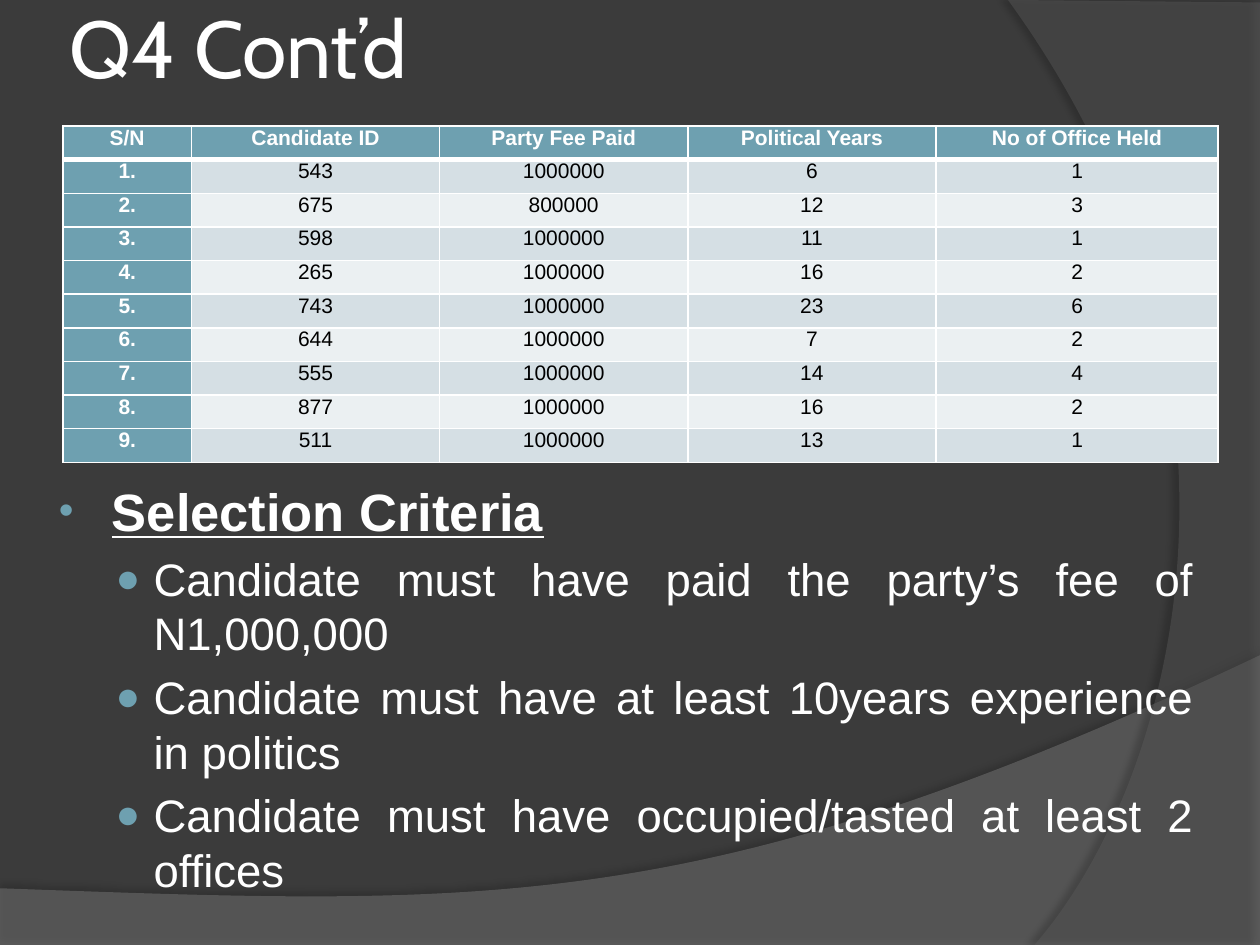
import pptx
import pptx.util
import pptx.dml.color
import pptx.enum.text
import pptx.oxml
import pptx.oxml.ns

Inches = pptx.util.Inches
Pt = pptx.util.Pt
Align = pptx.enum.text.PP_ALIGN
Anchor = pptx.enum.text.MSO_ANCHOR
NS = pptx.oxml.ns.nsdecls("a")
HUES = {"back": "3B3B3B", "wave": "7F7F7F", "arc": "5E5E5E", "teal": "6EA0B0",
        "odd": "D5DFE4", "even": "EBF0F2", "white": "FFFFFF", "black": "000000"}


def hue(name):
    return pptx.dml.color.RGBColor.from_string(HUES[name])


class Deck:
    """Holds the style and the current slide."""

    def __init__(self):
        self.show = pptx.Presentation()
        self.show.slide_width, self.show.slide_height = Inches(10), Inches(7.5)
        self.slide = self.show.slides.add_slide(self.show.slide_layouts[6])
        fill = self.slide.background.fill
        fill.solid()
        fill.fore_color.rgb = hue("back")

    def sweep(self, dots, bend, color, alpha, shade, dist, angle):
        grid = [(round(x * 1000), round(y * 1000)) for x, y in dots]
        pen = self.slide.shapes.build_freeform(*grid[0], scale=Inches(1) / 1000)
        pen.add_line_segments(grid[1:])
        shape = pen.convert_to_shape()
        shape.shadow.inherit = False
        shape.line.fill.background()
        shape.fill.solid()
        shape.fill.fore_color.rgb = hue(color)
        props = shape._element.spPr
        left, top = (min(axis) for axis in zip(*grid))
        knots = "".join(f'<a:pt x="{round(x * 1000) - left}" y="{round(y * 1000) - top}"/>'
                        for x, y in (*bend, dots[-1]))
        line = props.findall(".//" + pptx.oxml.ns.qn("a:lnTo"))[len(dots) - 2]
        line.getparent().replace(line, pptx.oxml.parse_xml(
            f'<a:cubicBezTo {NS}>{knots}</a:cubicBezTo>'))
        tint = props.find(".//" + pptx.oxml.ns.qn("a:srgbClr"))
        tint.append(pptx.oxml.parse_xml(f'<a:alpha {NS} val="{alpha * 1000}"/>'))
        props.find(pptx.oxml.ns.qn("a:effectLst")).append(pptx.oxml.parse_xml(
            f'<a:outerShdw {NS} blurRad="{Pt(4)}" dist="{Pt(dist)}" dir="{angle * 60000}" '
            f'algn="ctr" rotWithShape="0"><a:srgbClr val="{HUES["black"]}">'
            f'<a:alpha val="{shade * 1000}"/></a:srgbClr></a:outerShdw>'))

    def run(self, para, text, size, color="white", font="Arial", bold=False, under=False):
        run = para.add_run()
        run.text = text
        run.font.name, run.font.size = font, Pt(size)
        run.font.bold, run.font.underline = bold, under
        run.font.color.rgb = hue(color)

    def box(self, x, y, w, h, anchor=Anchor.TOP):
        frame = self.slide.shapes.add_textbox(
            Inches(x), Inches(y), Inches(w), Inches(h)).text_frame
        frame.word_wrap = True
        frame.vertical_anchor = anchor
        frame.margin_top = frame.margin_bottom = Inches(0.05)
        return frame

    def title(self, text):
        frame = self.box(0.5, -0.09, 8.17, 0.92, Anchor.MIDDLE)
        frame.margin_left = frame.margin_right = Inches(0.05)
        self.run(frame.paragraphs[0], text, 46, font="Cabin")

    def indent(self, para, left, hang):
        props = para._p.get_or_add_pPr()
        props.set("marL", str(Inches(left)))
        props.set("indent", str(Inches(-hang)))
        return props

    def bullet(self, para, mark, ratio, left, hang):
        para.alignment = Align.JUSTIFY
        props = self.indent(para, left, hang)
        for part in (f'<a:buClr {NS}><a:srgbClr val="{HUES["teal"]}"/></a:buClr>',
                     f'<a:buSzPct {NS} val="{ratio * 1000}"/>',
                     f'<a:buFont {NS} typeface="Arial"/>',
                     f'<a:buChar {NS} char="{mark}"/>'):
            props.append(pptx.oxml.parse_xml(part))

    def points(self, head, items):
        frame = self.box(0.33, 3.75, 9.25, 3.75)
        para = frame.paragraphs[0]
        self.bullet(para, "•", 80, 0.46, 0.42)
        self.run(para, head, 30, bold=True, under=True)
        for item in items:
            para = frame.add_paragraph()
            para.level = 1
            para.space_before = Pt(5.2)
            self.bullet(para, "●", 90, 0.79, 0.3)
            self.run(para, item, 26)

    def cell(self, cell, text, fill, color, bold, base):
        cell.fill.solid()
        cell.fill.fore_color.rgb = hue(fill)
        cell.margin_left = cell.margin_right = Inches(0.07)
        cell.margin_top = cell.margin_bottom = 0
        para = cell.text_frame.paragraphs[0]
        para.alignment = Align.CENTER
        self.indent(para, 0.25, 0.25)
        self.run(para, text, 12, color, bold=bold)
        props = cell._tc.get_or_add_tcPr()
        for i, (side, wide) in enumerate(zip("LRTB", (1, 1, 1, base))):
            props.insert(i, pptx.oxml.parse_xml(
                f'<a:ln{side} {NS} w="{Pt(wide)}"><a:solidFill>'
                f'<a:srgbClr val="{HUES["white"]}"/></a:solidFill></a:ln{side}>'))

    def table(self, rows, widths):
        table = self.slide.shapes.add_table(
            len(rows), len(widths), Inches(0.5), Inches(1), Inches(9.17), Inches(2.67)).table
        for col, width in zip(table.columns, widths):
            col.width = Inches(width)
        for r, row in enumerate(rows):
            table.rows[r].height = Inches(2.67 / len(rows))
            for c, text in enumerate(row):
                label = r == 0 or c == 0
                fill = "teal" if label else "odd" if r % 2 else "even"
                self.cell(table.cell(r, c), text, fill,
                          "white" if label else "black", label, 1 if r else 3)


def main():
    deck = Deck()
    deck.sweep([(0, 7.05), (0, 7.51), (10, 7.51), (10, 5.2), (0, 7.05)],
               [(5.59, 7.29), (3.91, 7.19)], "wave", 45, 35, 3.5, 270)
    deck.sweep([(10, 0.02), (10, 7.5), (8.21, 7.5), (8, 0)],
               [(9.35, 6.19), (10.18, 3)], "arc", 40, 45, 4, 180)
    deck.title("Q4 Cont’d")
    deck.points("Selection Criteria", [
        "Candidate must have paid the party’s fee of N1,000,000",
        "Candidate must have at least 10years experience in politics",
        "Candidate must have occupied/tasted at least 2 offices"])
    people = [(543, 1000000, 6, 1), (675, 800000, 12, 3), (598, 1000000, 11, 1),
              (265, 1000000, 16, 2), (743, 1000000, 23, 6), (644, 1000000, 7, 2),
              (555, 1000000, 14, 4), (877, 1000000, 16, 2), (511, 1000000, 13, 1)]
    heads = ["S/N", "Candidate ID", "Party Fee Paid", "Political Years", "No of Office Held"]
    rows = [[f"{n}.", *map(str, person)] for n, person in enumerate(people, 1)]
    deck.table([heads, *rows], [1.02, 1.97, 1.97, 1.97, 2.24])
    deck.show.save("out.pptx")


if __name__ == "__main__":
    main()
